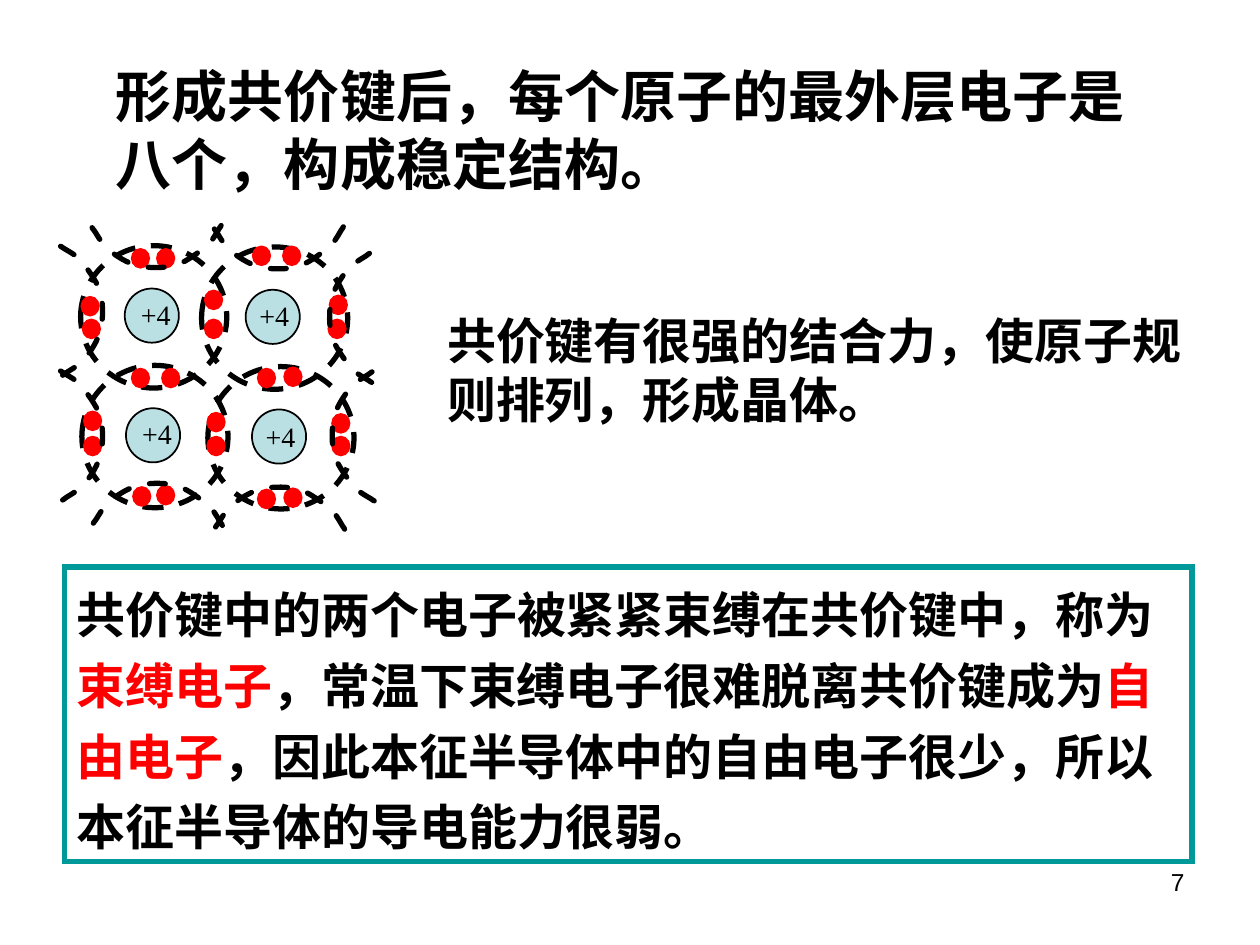
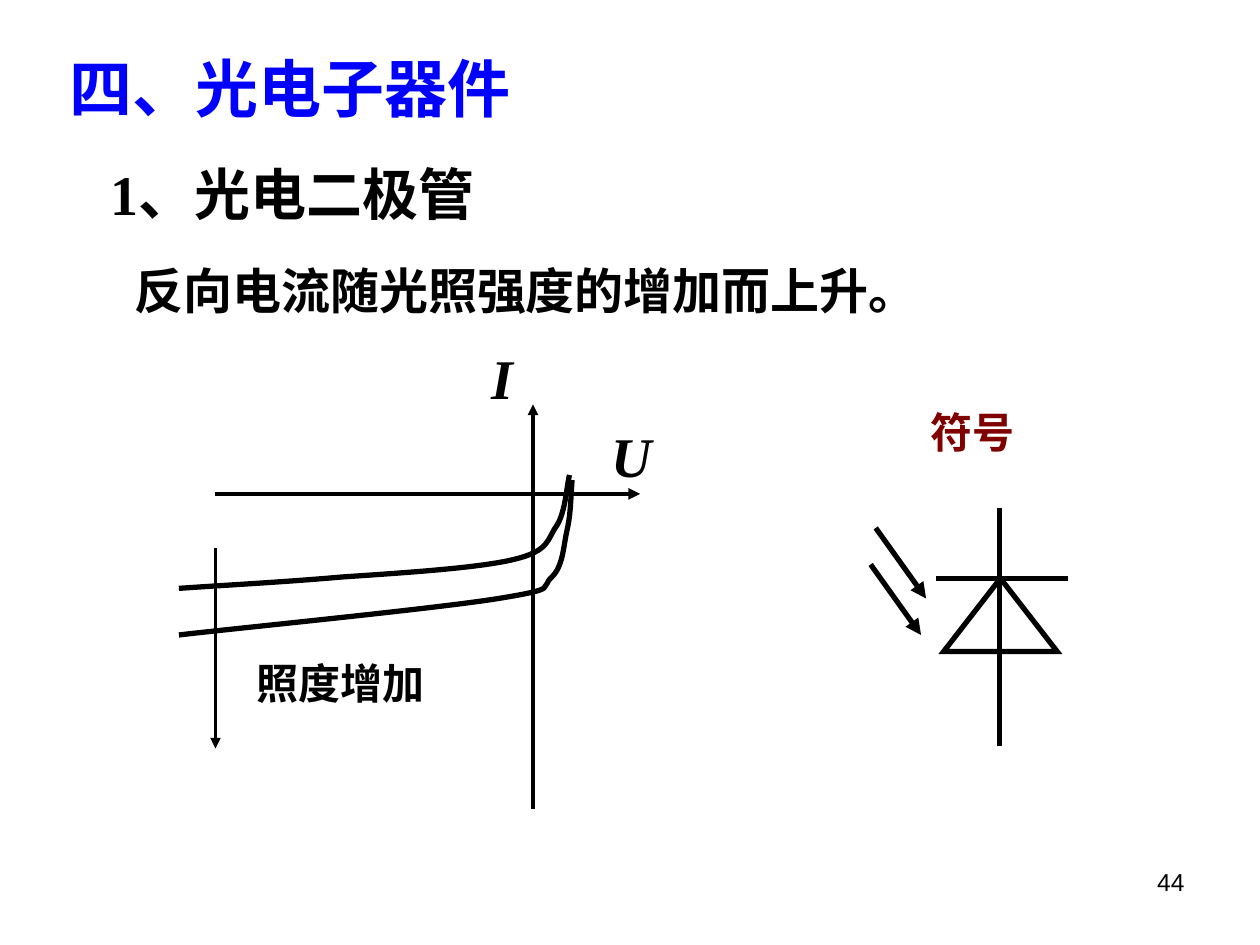
from lxml.etree import SubElement
from pptx import Presentation
from pptx.dml.color import RGBColor
from pptx.enum.dml import MSO_LINE
from pptx.enum.shapes import MSO_CONNECTOR, MSO_SHAPE
from pptx.enum.text import MSO_ANCHOR, MSO_AUTO_SIZE, PP_ALIGN
from pptx.oxml.ns import qn
from pptx.util import Pt

PX = 9144  # 100 px to the inch

BLACK = RGBColor(0x00, 0x00, 0x00)
RED = RGBColor(0xFF, 0x00, 0x00)
BLUE = RGBColor(0x00, 0x00, 0xFF)
MAROON = RGBColor(0x80, 0x00, 0x00)
TEAL = RGBColor(0x00, 0x99, 0x99)
PALE_BLUE = RGBColor(0xBB, 0xE0, 0xE3)

SERIF = "Times New Roman"
SANS = "Arial"

# Corner of each atom, then the shift of its label
ATOMS = [((53, 52), (3, 2)), ((149, 53), (1, 2)), ((54, 147), (3, 2)), ((154, 148), (1, 3))]
# Each bond holds the corners of its two shared electrons
BONDS = [
    [(60, 22), (80, 22)], [(156, 20), (180, 20)],
    [(20, 60), (21, 78)], [(118, 55), (118, 78)], [(217, 59), (216, 78)],
    [(60, 117), (84, 117)], [(160, 117), (181, 116)],
    [(22, 151), (22, 171)], [(120, 152), (120, 171)], [(219, 153), (219, 171)],
    [(61, 211), (80, 210)], [(160, 213), (181, 212)],
]
# Outer shell of a neighbouring atom, around its own centre, seen on the right
NEIGHBOUR_ARC = [
    (13, -50), (13, -50), (16, -52), (13, -50), (11, -48), (2, -44), (-3, -38),
    (-8, -32), (-14, -23), (-16, -14), (-18, -5), (-18, 8), (-15, 17),
    (-12, 25), (-5, 34), (-1, 39), (3, 44), (4, 44), (7, 46),
    (10, 48), (14, 50), (15, 51), (17, 52), (17, 52), (17, 52),
    (17, 52), (16, 51), (15, 51),
]
# Side of the lattice: how the arc is turned, and the centres of its arcs
NEIGHBOURS = [
    (lambda x, y: (x, y), [(233, 75), (235, 169)]),
    (lambda x, y: (y, -x), [(78, 18), (175, 19)]),
    (lambda x, y: (y, x), [(79, 224), (176, 227)]),
    (lambda x, y: (-x, -y), [(18, 70), (18, 169)]),
]
WEAK_LIGHT_CURVE = [
    (310, 109), (308, 116), (307, 138), (300, 149), (292, 160), (295, 169),
    (266, 176), (238, 183), (173, 187), (129, 190), (84, 194), (27, 197), (0, 199),
]
STRONG_LIGHT_CURVE = [
    (312, 113), (311, 127), (311, 140), (308, 153), (305, 166), (305, 181),
    (296, 190), (286, 199), (303, 199), (254, 207), (205, 215), (42, 231), (0, 236),
]


def emu(*lengths):
    return [round(length * PX) for length in lengths]


def place(shape, box):
    shape.left, shape.top, shape.width, shape.height = emu(*box)


def write(shape, parts, size, align=PP_ALIGN.LEFT, anchor=MSO_ANCHOR.MIDDLE,
          font=SERIF, bold=True, italic=False, wrap=True):
    """Fill a shape with one paragraph made of (text, colour) parts."""
    frame = shape.text_frame
    frame.auto_size = MSO_AUTO_SIZE.NONE
    frame.word_wrap = wrap
    frame.vertical_anchor = anchor
    paragraph = frame.paragraphs[0]
    paragraph.alignment = align
    for text, color in parts:
        run = paragraph.add_run()
        run.text = text
        run.font.name = font
        run.font.size = Pt(size)
        run.font.bold = bold
        run.font.italic = italic
        run.font.color.rgb = color
    return paragraph


def add_text(shapes, box, text, size, color=BLACK, **style):
    write(shapes.add_textbox(*emu(*box)), [(text, color)], size, **style)


def line_element(shape):
    return shape._element.spPr.find(qn("a:ln"))


def style_shape(shape, fill=None, line=BLACK, weight=3, dash=None):
    shape.shadow.inherit = False
    if fill is None:
        shape.fill.background()
    else:
        shape.fill.solid()
        shape.fill.fore_color.rgb = fill
    shape.line.color.rgb = line
    shape.line.width = Pt(weight)
    if dash:
        shape.line.dash_style = dash


def add_preset(shapes, kind, box, **style):
    shape = shapes.add_shape(kind, *emu(*box))
    style_shape(shape, **style)
    SubElement(line_element(shape), qn("a:miter"), lim="800000")
    return shape


def add_line(shapes, start, end, weight=3, arrow=False):
    line = shapes.add_connector(MSO_CONNECTOR.STRAIGHT, *emu(*start, *end))
    line.line.color.rgb = BLACK
    line.line.width = Pt(weight)
    if arrow:
        SubElement(line_element(line), qn("a:tailEnd"), type="triangle")
    SubElement(line._element.spPr, qn("a:effectLst"))


def add_curve(shapes, origin, controls, dash=None):
    """Draw a chain of cubic Bezier segments; each takes three control points."""
    points = [emu(origin[0] + x, origin[1] + y) for x, y in controls]
    builder = shapes.build_freeform(*points[0])
    builder.add_line_segments(points[1:], close=False)
    shape = builder.convert_to_shape()
    style_shape(shape, dash=dash)
    if dash:
        line_element(shape).set("cap", "rnd")
    outline = next(shape._element.iter(qn("a:path")))
    straight = outline.findall(qn("a:lnTo"))
    for i in range(0, len(straight), 3):
        segment = SubElement(outline, qn("a:cubicBezTo"))
        for step in straight[i:i + 3]:
            segment.append(step[0])
            outline.remove(step)


def add_titled_slide(presentation, box, title, size, number, color=BLACK, **style):
    slide = presentation.slides.add_slide(presentation.slide_layouts[5])
    place(slide.shapes.title, box)
    write(slide.shapes.title, [(title, color)], size, **style)
    add_text(slide.shapes, (717, 683, 233, 52), number, 14, font=SANS, bold=False,
             align=PP_ALIGN.RIGHT, anchor=MSO_ANCHOR.TOP)
    return slide


def add_lattice(slide, left, top):
    shapes = slide.shapes.add_group_shape().shapes
    for (x, y), (shift_x, shift_y) in ATOMS:
        x, y = left + x, top + y
        add_preset(shapes, MSO_SHAPE.OVAL, (x, y, 43, 43), fill=PALE_BLUE, weight=1)
        add_preset(shapes, MSO_SHAPE.OVAL, (x - 35, y - 34, 116, 113), dash=MSO_LINE.DASH)
        add_text(shapes, (x + shift_x, y + shift_y, 49, 37), "+4", 16, bold=False,
                 anchor=MSO_ANCHOR.TOP)
    for bond in BONDS:
        for x, y in bond:
            add_preset(shapes, MSO_SHAPE.OVAL, (left + x, top + y, 11, 12),
                       fill=RED, line=RED)
    for turn, centres in NEIGHBOURS:
        arc = [turn(x, y) for x, y in NEIGHBOUR_ARC]
        for x, y in centres:
            add_curve(shapes, (left + x, top + y), arc, dash=MSO_LINE.DASH)


def add_conclusion(slide, box):
    frame = add_preset(slide.shapes, MSO_SHAPE.RECTANGLE, box, line=TEAL)
    paragraph = write(frame, [
        ("共价键中的两个电子被紧紧束缚在共价键中，称为", BLACK),
        ("束缚电子", RED),
        ("，常温下束缚电子很难脱离共价键成为", BLACK),
        ("自由电子", RED),
        ("，因此本征半导体中的自由电子很少，所以本征半导体的导电能力很弱。", BLACK),
    ], 28)
    paragraph.line_spacing = 1.2


def add_characteristic(slide, left, top):
    """Current against voltage, with one curve for each light level."""
    shapes = slide.shapes.add_group_shape().shapes

    def at(x, y):
        return left + x, top + y

    add_line(shapes, at(29, 124), at(366, 124), 2.25, arrow=True)
    add_line(shapes, at(281, 374), at(281, 53), 2, arrow=True)
    label = {"align": PP_ALIGN.CENTER, "wrap": False}
    add_text(shapes, (*at(238, -1), 37, 64), "I", 32, italic=True, **label)
    add_text(shapes, (*at(333, 61), 52, 64), "U", 32, italic=True, **label)
    for curve in (WEAK_LIGHT_CURVE, STRONG_LIGHT_CURVE):
        add_curve(shapes, (left, top), curve)
    add_line(shapes, at(29, 167), at(29, 326), 2, arrow=True)
    add_text(shapes, (*at(52, 249), 153, 50), "照度增加", 24, **label)


def add_diode_symbol(slide, left, top):
    shapes = slide.shapes.add_group_shape().shapes
    add_line(shapes, (left + 52, top + 56), (left + 157, top + 56))
    add_preset(shapes, MSO_SHAPE.ISOSCELES_TRIANGLE, (left + 58, top + 56, 90, 58))
    add_line(shapes, (left + 102, top), (left + 102, top + 189))
    for x, y in ((4, 16), (0, 45)):
        add_line(shapes, (left + x, top + y), (left + x + 40, top + y + 56), arrow=True)


def build_bond_slide(presentation):
    slide = add_titled_slide(presentation, (82, 44, 826, 117),
                             "形成共价键后，每个原子的最外层电子是八个，构成稳定结构。", 32, "7")
    add_conclusion(slide, (51, 450, 895, 234))
    add_text(slide.shapes, (345, 241, 609, 104),
             "共价键有很强的结合力，使原子规则排列，形成晶体。", 28)
    add_lattice(slide, 46, 177)


def build_photodiode_slide(presentation):
    slide = add_titled_slide(presentation, (25, 34, 411, 70), "四、光电子器件", 36, "44",
                             BLUE, align=PP_ALIGN.CENTER)
    add_text(slide.shapes, (97, 202, 800, 57), "反向电流随光照强度的增加而上升。", 28)
    add_characteristic(slide, 142, 268)
    add_diode_symbol(slide, 691, 403)
    add_text(slide.shapes, (59, 121, 346, 64), "1、光电二极管", 32, align=PP_ALIGN.CENTER)
    add_text(slide.shapes, (729, 318, 111, 50), "符号", 24, MAROON, anchor=MSO_ANCHOR.TOP)


def main():
    presentation = Presentation()
    presentation.slide_width, presentation.slide_height = emu(1000, 750)
    build_bond_slide(presentation)
    build_photodiode_slide(presentation)
    presentation.save("out.pptx")


if __name__ == "__main__":
    main()
